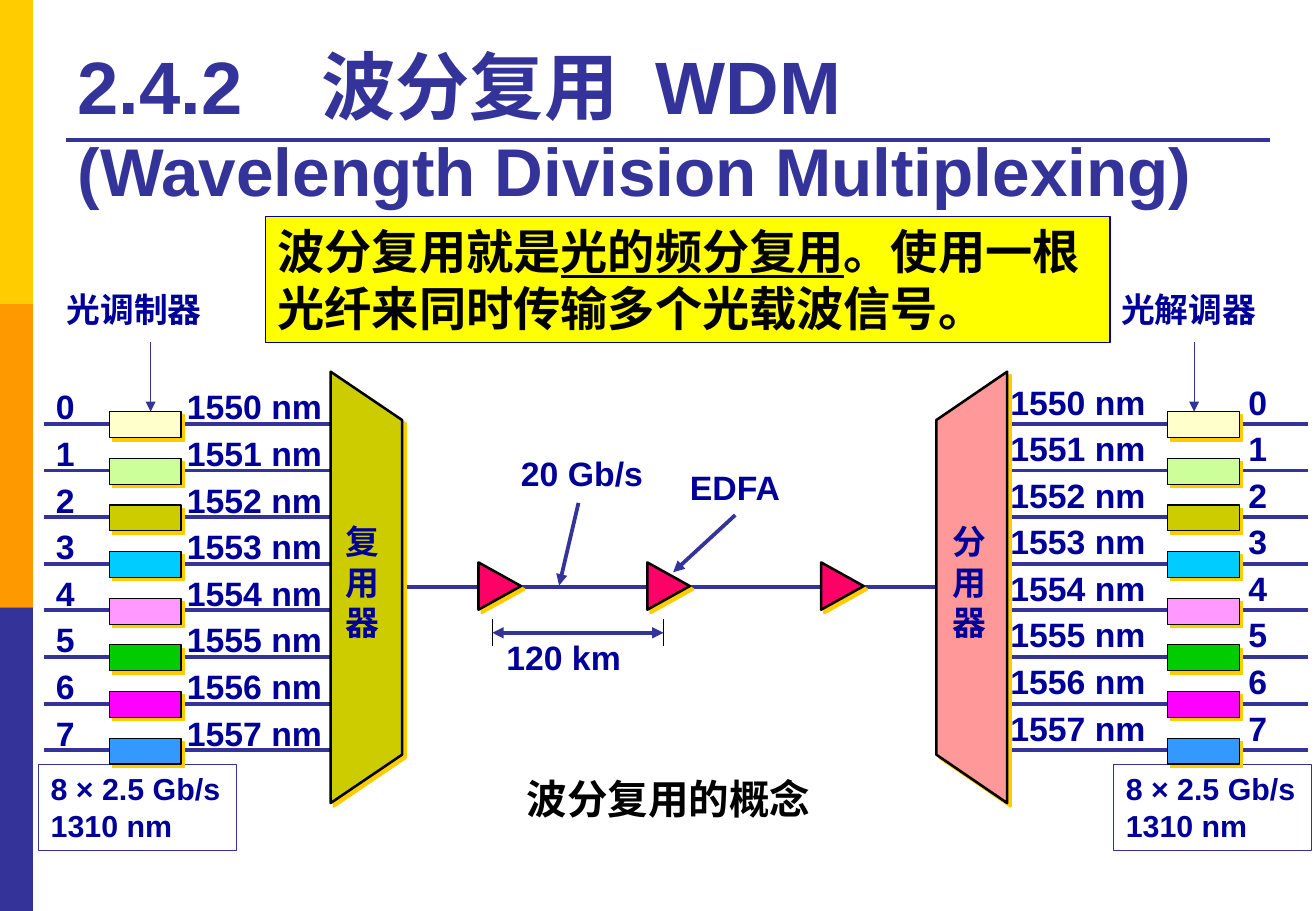
from pptx import Presentation
from pptx.dml.color import RGBColor
from pptx.enum import shapes, text
from pptx.oxml import ns
from pptx.util import Pt
from lxml import etree

COLORS = {
    "gold": "FFCC00", "orange": "FF9900", "indigo": "333399", "navy": "000099",
    "black": "000000", "yellow": "FFFF00", "olive": "CCCC00", "salmon": "FF9999",
    "rose": "FF0066", "cream": "FFFFCC", "lime": "CCFF99", "cyan": "00CCFF",
    "pink": "FF99FF", "green": "00CC00", "magenta": "FF00FF", "blue": "3399FF",
}
CHANNELS = ["cream", "lime", "olive", "cyan", "pink", "green", "magenta", "blue"]
PITCH = 27.65
RECTANGLE = shapes.MSO_SHAPE.RECTANGLE


def color(name):
    return RGBColor.from_string(COLORS[name])


def add_child(parent, tag, **attributes):
    return etree.SubElement(parent, ns.qn(tag), attributes)


def paint(shape, fill, line=None, weight=0.75, shadow=False):
    """Set fill, outline and, if wanted, the hard gold drop shadow."""
    shape.shadow.inherit = False
    if fill:
        shape.fill.solid()
        shape.fill.fore_color.rgb = color(fill)
    else:
        shape.fill.background()
    if line:
        shape.line.color.rgb = color(line)
        shape.line.width = Pt(weight)
    else:
        shape.line.fill.background()
    if shadow:
        effects = shape._element.spPr.find(ns.qn("a:effectLst"))
        outer = add_child(effects, "a:outerShdw", dist=str(Pt(2.8)),
                          dir="2700000", algn="ctr", rotWithShape="0")
        add_child(outer, "a:srgbClr", val=COLORS["gold"])


def add_block(page, kind, left, top, width, height, fill, **style):
    block = page.shapes.add_shape(kind, Pt(left), Pt(top), Pt(width), Pt(height))
    paint(block, fill, **style)
    return block


def add_line(page, start, end, name="indigo", weight=2.25, arrows=()):
    """Straight line; arrows lists the ends to point, headEnd before tailEnd."""
    line = page.shapes.add_connector(shapes.MSO_CONNECTOR.STRAIGHT,
                                     *(Pt(value) for value in (*start, *end)))
    line.line.color.rgb = color(name)
    line.line.width = Pt(weight)
    for arrow in arrows:
        add_child(line.get_or_add_ln(), f"a:{arrow}", type="triangle")
    add_child(line._element.spPr, "a:effectLst")


def write(shape, lines, size, name="navy", align=text.PP_ALIGN.LEFT,
          wrap=True, spacing=None, tabs=()):
    """Fill a shape with one paragraph per line, all in bold Arial."""
    frame = shape.text_frame
    frame.word_wrap = wrap
    frame.vertical_anchor = text.MSO_ANCHOR.TOP
    for index, line in enumerate(lines):
        para = frame.add_paragraph() if index else frame.paragraphs[0]
        para.text = line
        para.alignment = align
        if spacing:
            para.line_spacing = Pt(spacing)
        if tabs:
            stops = add_child(para._p.get_or_add_pPr(), "a:tabLst")
            for tab in tabs:
                add_child(stops, "a:tab", pos=str(Pt(tab)), algn="l")
        para.font.name = "Arial"
        para.font.size = Pt(size)
        para.font.bold = True
        para.font.color.rgb = color(name)
    return frame


def add_text(page, left, top, width, height, lines, size=20, **style):
    box = page.shapes.add_textbox(Pt(left), Pt(top), Pt(width), Pt(height))
    return write(box, lines, size, **style)


def add_side_bars(page, width, height):
    for index, name in enumerate(["gold", "orange", "indigo"]):
        add_block(page, RECTANGLE, 0, index * height / 3, width, height / 3, name)


def add_title(page, left, top, width, height):
    add_line(page, (left, top + 67.7), (left + width, top + 67.7))
    frame = add_text(page, left, top, width, height,
                     ["2.4.2\t波分复用\tWDM\v(Wavelength Division Multiplexing)"],
                     size=44, name="indigo", tabs=(144.5, 342.5))
    frame.vertical_anchor = text.MSO_ANCHOR.BOTTOM
    frame.paragraphs[0].runs[-1].font.size = Pt(40)


def add_definition(page, left, top, width, height):
    banner = add_block(page, RECTANGLE, left, top, width, height, "yellow", line="navy")
    para = write(banner, [""], 28, "black").paragraphs[0]
    for words, underlined in [("波分复用就是", False), ("光的频分复用", True),
                              ("。使用一根光纤来同时传输多个光载波信号。", False)]:
        span = para.add_run()
        span.text = words
        span.font.underline = underlined


def add_terminal(page, left, top, width, label, label_dx, rows, rows_dx, rows_dy,
                 tab, chip_dx, arrow_dx, rate_dx):
    """Eight channels with their modulators; top is the height of the first wire."""
    add_text(page, left + rows_dx, top + rows_dy, 195, 230, rows,
             spacing=27.6, tabs=(tab,))
    rate = add_block(page, RECTANGLE, left + rate_dx, top + 201.8, 117.4, 51,
                     None, line="indigo")
    write(rate, ["8 × 2.5 Gb/s", "1310 nm"], 18)
    for index, name in enumerate(CHANNELS):
        wire = top + index * PITCH
        add_line(page, (left, wire), (left + width, wire))
        add_block(page, RECTANGLE, left + chip_dx, wire - 7.2, 42.5, 15.4, name,
                  line="black", shadow=True)
    add_text(page, left + label_dx, top - 83.4, 95.8, 31.7, [label], wrap=False)
    add_line(page, (left + arrow_dx, top - 48.2), (left + arrow_dx, top - 7.2),
             weight=0.75, arrows=["tailEnd"])


def add_coupler(page, outer, inner, top, height, fill, label, label_left):
    """Trapezoid whose long side is at outer and short side at inner."""
    slope, bottom = 28.7, top + height
    outline = page.shapes.build_freeform(Pt(outer), Pt(top))
    outline.add_line_segments([(Pt(x), Pt(y)) for x, y in [
        (inner, top + slope), (inner, bottom - slope), (outer, bottom)]])
    paint(outline.convert_to_shape(), fill, "black", 1.5, shadow=True)
    add_text(page, label_left, top + 85, 34.4, 80, list(label), wrap=False)


def add_fiber(page, left, right, axis):
    """Long-haul fiber with its amplifiers, callouts and span length."""
    add_line(page, (left, axis), (right, axis))
    for offset in (73.2, 173.3, 276.3):
        amplifier = add_block(page, shapes.MSO_SHAPE.ISOSCELES_TRIANGLE, left + offset,
                              axis - 13, 28, 25.2, "rose", line="black", weight=1.5,
                              shadow=True)
        amplifier.rotation = 90
    for label, dx, dy, width in [("20 Gb/s", 92.7, -82.8, 87.1), ("EDFA", 192.8, -74.9, 68.4),
                                 ("120 km", 84, 25.9, 82.8)]:
        add_text(page, left + dx, axis + dy, width, 31.7, [label], wrap=False)
    for start, end in [((133.9, -49.7), (122.4, -0.7)), ((226.8, -42.5), (190, -8.6))]:
        add_line(page, (left + start[0], axis + start[1]),
                 (left + end[0], axis + end[1]), arrows=["tailEnd"])
    span_ends = left + 82.8, left + 184.3
    for x in span_ends:
        add_line(page, (x, axis + 19.4), (x, axis + 35.3), "black", 0.75)
    add_line(page, (span_ends[0], axis + 27.3), (span_ends[1], axis + 27.3),
             arrows=["headEnd", "tailEnd"])


def main():
    deck = Presentation()
    deck.slide_width, deck.slide_height = Pt(780), Pt(540)
    page = deck.slides.add_slide(deck.slide_layouts[6])
    add_side_bars(page, 19.5, 540)
    add_title(page, 39, 15.1, 714, 113)
    add_definition(page, 157.5, 128.2, 500.4, 74.9)
    add_terminal(page, 26, 251.2, 178.5, "光调制器", 6.4,
                 [f"{n}\t{1550 + n} nm" for n in range(8)], 0, -29.4, 77.7,
                 chip_dx=38.8, arrow_dx=63.3, rate_dx=-3)
    add_terminal(page, 597, 251.2, 178.5, "光解调器", 60.4,
                 [f"{1550 + n} nm\t{n}" for n in range(8)], -5.2, -32.3, 141,
                 chip_dx=95, arrow_dx=110.8, rate_dx=63.2)
    add_fiber(page, 209, 592.6, 347.8)
    add_coupler(page, 196, 238.4, 220.3, 255.7, "olive", "复用器", 198)
    add_coupler(page, 597, 555, 220.3, 255.7, "salmon", "分用器", 557.3)
    add_text(page, 238.3, 455, 316, 36, ["波分复用的概念"], size=24, name="black",
             align=text.PP_ALIGN.CENTER)
    deck.save("out.pptx")


if __name__ == "__main__":
    main()
